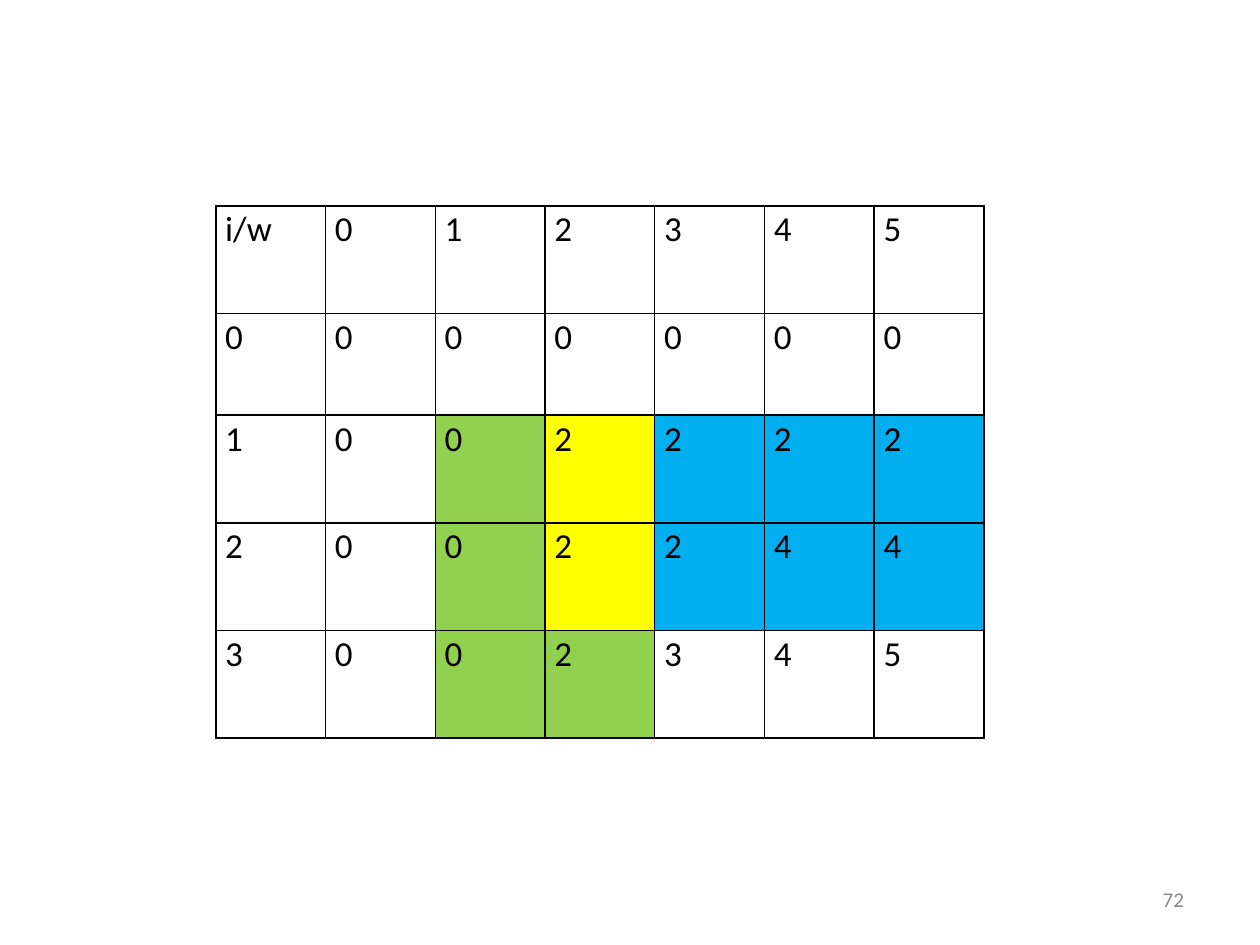
from lxml import etree
from pptx import Presentation
from pptx.dml.color import RGBColor
from pptx.enum.text import MSO_ANCHOR
from pptx.oxml.ns import qn
from pptx.util import Cm, Pt

TOP = MSO_ANCHOR.TOP
FONT = "Calibri"
BLANK_LAYOUT = 6
COLORS = {
    "ink": "000000",
    "muted": "888888",
    "green": "92D050",
    "yellow": "FFFF00",
    "blue": "00AFEF",
}

# Knapsack values: item index i down, capacity w across
KNAPSACK = [
    ["i/w", 0, 1, 2, 3, 4, 5],
    [0, 0, 0, 0, 0, 0, 0],
    [1, 0, 0, 2, 2, 2, 2],
    [2, 0, 0, 2, 2, 4, 4],
    [3, 0, 0, 2, 3, 4, 5],
]
FILLED_ROW = [None, None, "green", "yellow", "blue", "blue", "blue"]
LAST_ROW = [None, None, "green", "green", None, None, None]
NO_FILL = [None] * 7
HIGHLIGHTS = [NO_FILL, NO_FILL, FILLED_ROW, FILLED_ROW, LAST_ROW]


def rgb(name):
    return RGBColor.from_string(COLORS[name])


def format_text(paragraph, size, color):
    for run in paragraph.runs:
        run.font.name = FONT
        run.font.size = Pt(size)
        run.font.color.rgb = rgb(color)


def add_borders(cell):
    properties = cell._tc.get_or_add_tcPr()
    for side in ("a:lnL", "a:lnR", "a:lnT", "a:lnB"):
        line = etree.SubElement(properties, qn(side), w=str(Pt(1)))
        fill = etree.SubElement(line, qn("a:solidFill"))
        etree.SubElement(fill, qn("a:srgbClr"), val=COLORS["ink"])


def format_cell(cell, value, highlight):
    cell.text_frame.text = str(value)
    cell.margin_left, cell.margin_top = Cm(0.19), Cm(0.05)
    cell.margin_right = cell.margin_bottom = 0
    cell.vertical_anchor = TOP
    format_text(cell.text_frame.paragraphs[0], 20, "ink")
    add_borders(cell)
    if highlight:
        cell.fill.solid()
        cell.fill.fore_color.rgb = rgb(highlight)
    else:
        cell.fill.background()


def add_knapsack_table(slide, left, top, width, height):
    rows, columns = len(KNAPSACK), len(KNAPSACK[0])
    table = slide.shapes.add_table(rows, columns, left, top, width, height).table
    table.first_row = table.horz_banding = False

    # The base row (i = 0) is slightly lower than the others
    base_height = Cm(2.05)
    for index, row in enumerate(table.rows):
        row.height = base_height if index == 1 else (height - base_height) // (rows - 1)
    for column in table.columns:
        column.width = width // columns

    for r, (values, highlights) in enumerate(zip(KNAPSACK, HIGHLIGHTS)):
        for c, (value, highlight) in enumerate(zip(values, highlights)):
            format_cell(table.cell(r, c), value, highlight)


def add_page_number(slide, left, top, width, height):
    frame = slide.shapes.add_textbox(left, top, width, height).text_frame
    frame.word_wrap = True
    frame.margin_left = Cm(0.1)
    frame.margin_top = frame.margin_right = frame.margin_bottom = 0
    frame.text = "72"
    number = frame.paragraphs[0]
    number.line_spacing = Pt(12.4)
    format_text(number, 12, "muted")


def main():
    deck = Presentation()
    deck.slide_width, deck.slide_height = Cm(25.4), Cm(19.05)
    slide = deck.slides.add_slide(deck.slide_layouts[BLANK_LAYOUT])
    add_page_number(slide, Cm(23.34), Cm(17.95), Cm(0.64), Cm(0.48))
    add_knapsack_table(slide, Cm(4.35), Cm(4.15), Cm(15.49), Cm(10.73))
    deck.save("out.pptx")


if __name__ == "__main__":
    main()
